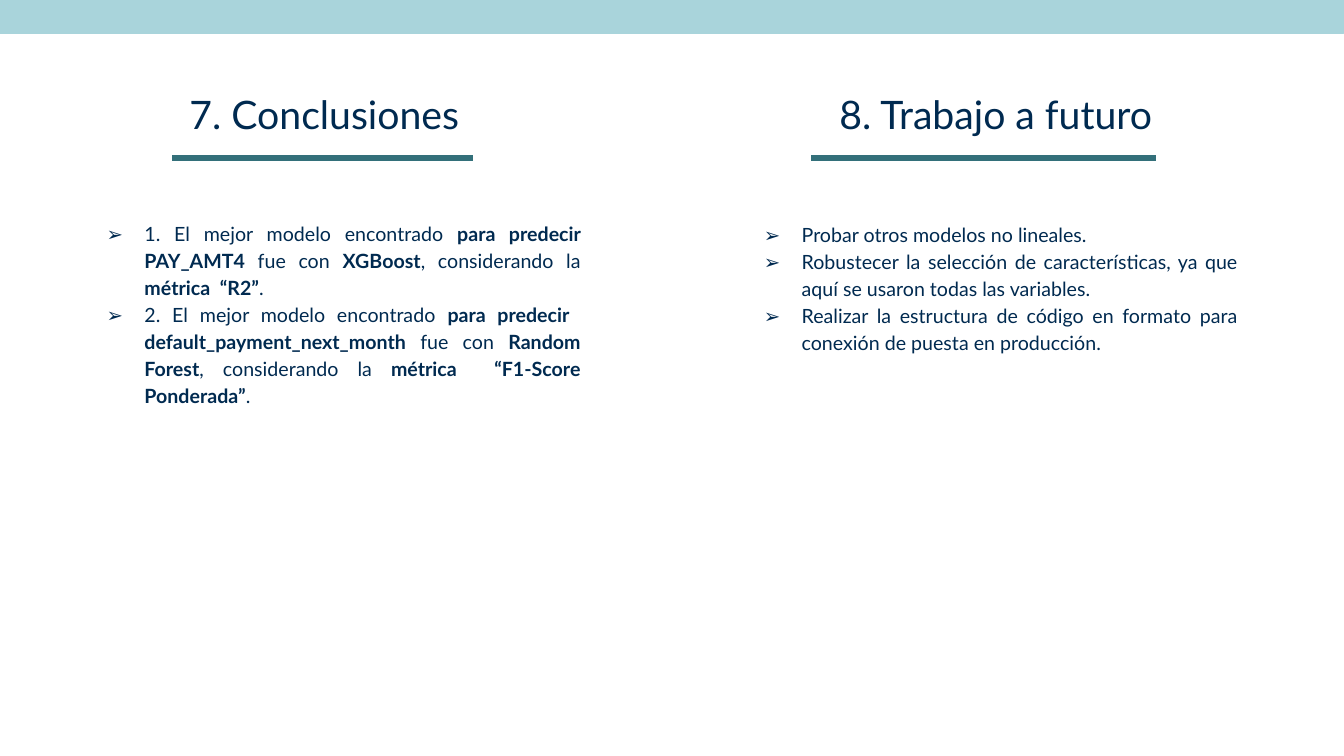
from dataclasses import dataclass

from lxml.etree import SubElement
from pptx import Presentation
from pptx.dml.color import RGBColor
from pptx.enum.shapes import MSO_CONNECTOR, MSO_SHAPE
from pptx.enum.text import MSO_ANCHOR, MSO_AUTO_SIZE, PP_ALIGN
from pptx.oxml.ns import qn
from pptx.util import Pt


@dataclass(frozen=True)
class Theme:
    """Colours, font and type sizes of the slide."""
    band: str = "A9D4DB"
    rule: str = "33707A"
    ink: str = "002A50"
    font: str = "Lato"
    head: float = 28
    body: float = 14
    inset: float = 7.2
    indent: float = 27
    bullet: str = "➢"


COLUMNS = [
    {
        "head": "7. Conclusiones",
        "head_x": 128.16,
        "rule": (123.12, 337.68),
        "body": (69.12, 149.04, 352.8, 182.88),
        "items": [
            "1. El mejor modelo encontrado **para predecir PAY_AMT4** fue con "
            "**XGBoost**, considerando la **métrica  “R2”**.",
            "2. El mejor modelo encontrado **para predecir  "
            "default_payment_next_month **fue con **Random Forest**, "
            "considerando la **métrica  “F1-Score Ponderada”**.",
        ],
    },
    {
        "head": "8. Trabajo a futuro",
        "head_x": 592.56,
        "rule": (579.6, 825.84),
        "body": (538.56, 149.76, 352.8, 131.04),
        "items": [
            "Probar otros modelos no lineales.",
            "Robustecer la selección de características, ya que aquí se "
            "usaron todas las variables.",
            "Realizar la estructura de código en formato para conexión de "
            "puesta en producción.",
        ],
    },
]
WIDTH, HEIGHT = 960, 540
BAND_H = 23.76
HEAD_Y, HEAD_W, HEAD_H = 57.6, 337.68, 47.52
RULE_Y, RULE_W = 113.04, 4.5
THEME = Theme()


def color(code):
    """Turn a hex code into a colour."""
    return RGBColor.from_string(code)


def style(para, size, align):
    """Set the font and alignment of a paragraph."""
    para.alignment = align
    para.font.name = THEME.font
    para.font.size = Pt(size)
    para.font.color.rgb = color(THEME.ink)


def frame(shape):
    """Give a text shape its insets and wrapping."""
    text = shape.text_frame
    text.auto_size = MSO_AUTO_SIZE.NONE
    text.word_wrap = True
    text.vertical_anchor = MSO_ANCHOR.TOP
    text.margin_left = text.margin_right = Pt(THEME.inset)
    text.margin_top = text.margin_bottom = Pt(THEME.inset)
    return text


def add_band(slide):
    """Draw the band along the top edge."""
    band = slide.shapes.add_shape(
        MSO_SHAPE.RECTANGLE, 0, 0, Pt(WIDTH), Pt(BAND_H))
    band.shadow.inherit = False
    band.fill.solid()
    band.fill.fore_color.rgb = color(THEME.band)
    band.line.color.rgb = color(THEME.band)
    band.line.width = Pt(0.75)


def add_head(shape, label, left):
    """Place and fill a column heading."""
    shape.left, shape.top = Pt(left), Pt(HEAD_Y)
    shape.width, shape.height = Pt(HEAD_W), Pt(HEAD_H)
    para = frame(shape).paragraphs[0]
    para.add_run().text = label
    style(para, THEME.head, PP_ALIGN.LEFT)


def add_rule(slide, start, end):
    """Draw the rule under a heading."""
    rule = slide.shapes.add_connector(
        MSO_CONNECTOR.STRAIGHT, Pt(start), Pt(RULE_Y), Pt(end), Pt(RULE_Y))
    rule.line.color.rgb = color(THEME.rule)
    rule.line.width = Pt(RULE_W)
    SubElement(rule._element.spPr, qn("a:effectLst"))


def add_bullet(para):
    """Give a paragraph a hanging arrow bullet."""
    props = para._p.get_or_add_pPr()
    props.set("marL", str(Pt(THEME.indent)))
    props.set("indent", str(-Pt(THEME.indent)))
    tint = SubElement(props, qn("a:buClr"))
    SubElement(tint, qn("a:srgbClr"), val=THEME.ink)
    SubElement(props, qn("a:buFont"), typeface=THEME.font)
    SubElement(props, qn("a:buChar"), char=THEME.bullet)


def add_list(slide, box, items):
    """Write a bulleted list, with bold between double stars."""
    text = frame(slide.shapes.add_textbox(*map(Pt, box)))
    for index, item in enumerate(items):
        para = text.add_paragraph() if index else text.paragraphs[0]
        add_bullet(para)
        style(para, THEME.body, PP_ALIGN.JUSTIFY)
        para.line_spacing = 1.15
        for turn, part in enumerate(item.split("**")):
            run = para.add_run()
            run.text = part
            if turn % 2:
                run.font.bold = True


def main():
    """Build and save the slide."""
    deck = Presentation()
    deck.slide_width, deck.slide_height = Pt(WIDTH), Pt(HEIGHT)
    slide = deck.slides.add_slide(deck.slide_layouts[5])
    add_band(slide)
    for index, col in enumerate(COLUMNS):
        head = (slide.shapes.add_textbox(0, 0, 0, 0) if index
                else slide.shapes.title)
        add_head(head, col["head"], col["head_x"])
        add_rule(slide, *col["rule"])
        add_list(slide, col["body"], col["items"])
    deck.save("out.pptx")


if __name__ == "__main__":
    main()
